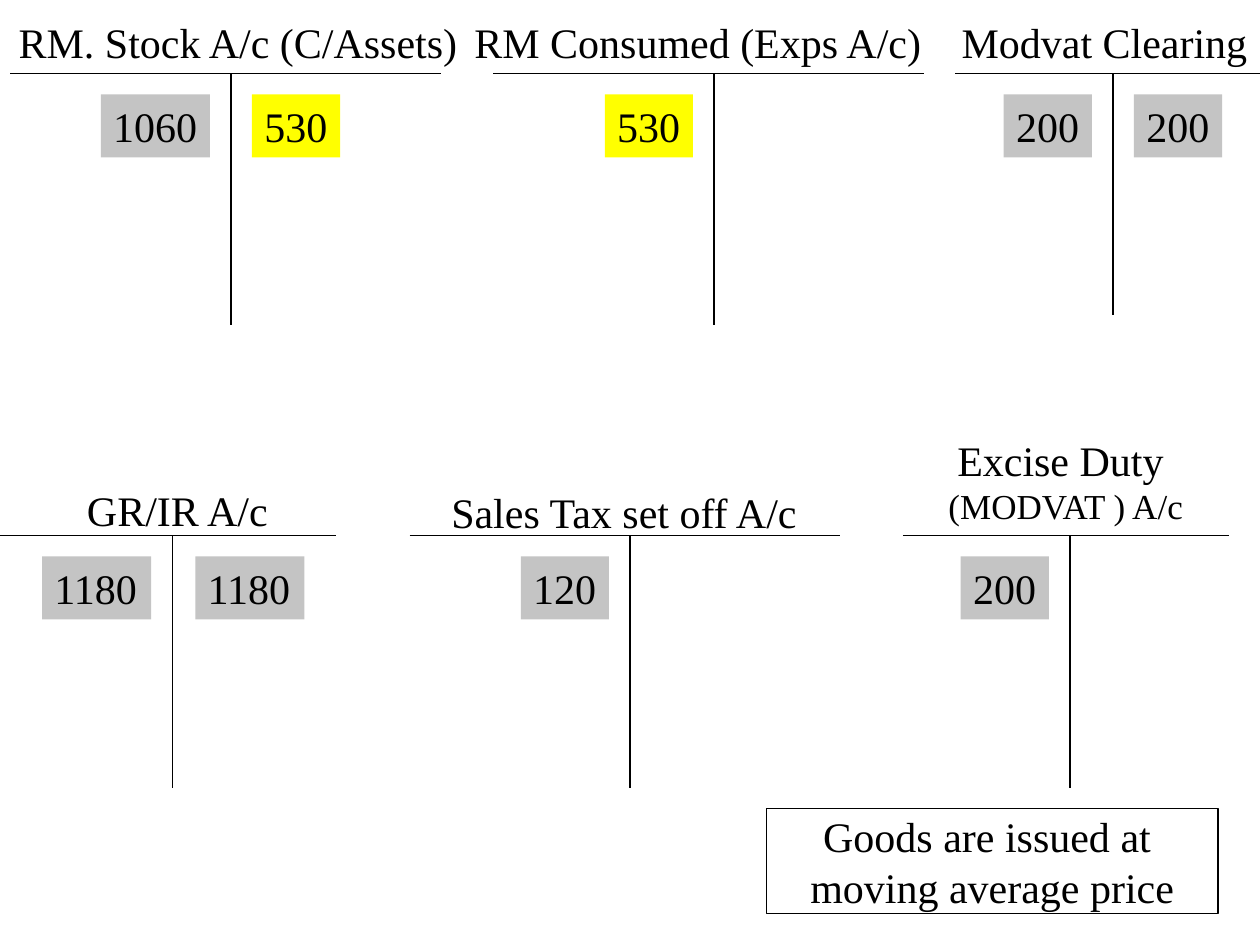
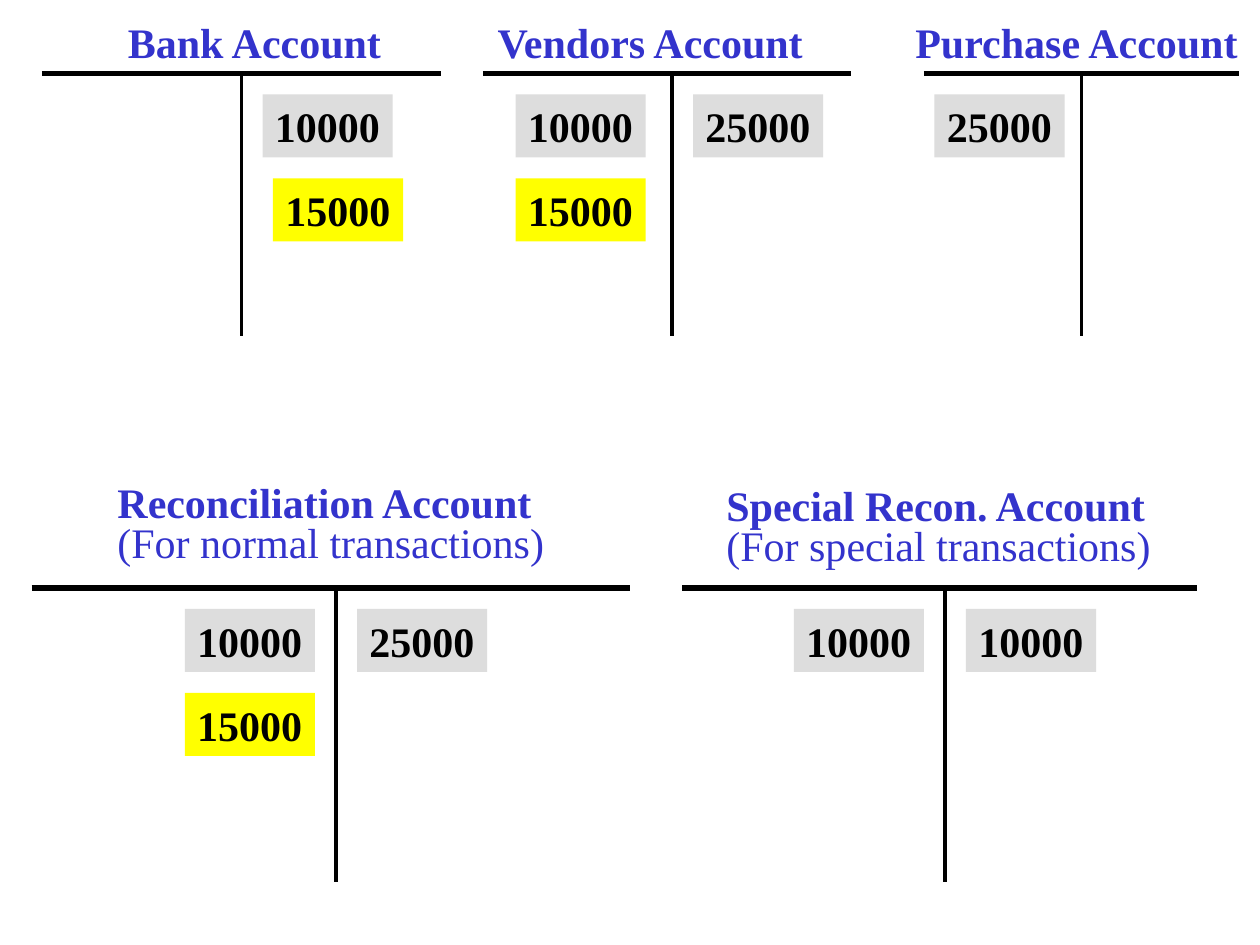
from collections import namedtuple

from lxml.etree import SubElement
from pptx import Presentation
from pptx.dml.color import RGBColor
from pptx.enum.shapes import MSO_CONNECTOR, MSO_SHAPE
from pptx.enum.text import MSO_ANCHOR, MSO_AUTO_SIZE, PP_ALIGN
from pptx.oxml.ns import qn
from pptx.util import Inches, Pt

BLACK = RGBColor(0x00, 0x00, 0x00)
WHITE = RGBColor(0xFF, 0xFF, 0xFF)
BLUE = RGBColor(0x33, 0x33, 0xCC)
GREY = RGBColor(0xC4, 0xC4, 0xC4)
PALE_GREY = RGBColor(0xDD, 0xDD, 0xDD)
YELLOW = RGBColor(0xFF, 0xFF, 0x00)

WIDTH, HEIGHT = Inches(10), Inches(7.5)
CELL = WIDTH // 120
GAP, ENTRY_ROWS, ENTRY_STEP = 2, 6, 8

BODY_FONT = {"name": "Times New Roman", "size": Pt(24), "bold": False}
BOLD_FONT = {**BODY_FONT, "bold": True}
SMALL_FONT = {**BODY_FONT, "size": Pt(20)}
MARGINS = {
    "margin_left": Inches(0.1), "margin_right": Inches(0.1),
    "margin_top": Inches(0.05), "margin_bottom": Inches(0.05),
}
LABEL_FRAME = {**MARGINS, "word_wrap": False, "auto_size": MSO_AUTO_SIZE.SHAPE_TO_FIT_TEXT}
WRAPPED_FRAME = {**LABEL_FRAME, "word_wrap": True}
NOTE_FRAME = {**MARGINS, "word_wrap": False, "vertical_anchor": MSO_ANCHOR.MIDDLE}
LEFT = {"alignment": PP_ALIGN.LEFT}
CENTRED = {"alignment": PP_ALIGN.CENTER}
TIGHT = {**LEFT, "line_spacing": 0.8}

Style = namedtuple("Style", "bar_weight stem_weight title_colour entry_font entry_fill")
Title = namedtuple("Title", "area lines frame layout", defaults=(LABEL_FRAME, LEFT))
Entry = namedtuple("Entry", "amount level issued nudge", defaults=(0, False, 0))
Account = namedtuple("Account", "title left right stem top bottom debits credits",
                     defaults=((), ()))

POSTING = Style(0.75, 0.75, BLACK, BODY_FONT, GREY)
PAYMENT = Style(3, 2.25, BLUE, BOLD_FONT, PALE_GREY)

STOCK_ACCOUNTS = [
    Account(Title((0.6, 1, 44.4, 6), [("RM. Stock A/c (C/Assets)", BODY_FONT)]),
            1, 42, 22, 7, 31, [Entry("1060")], [Entry("530", issued=True)]),
    Account(Title((44, 1, 45.1, 6), [("RM Consumed (Exps A/c)", BODY_FONT)]),
            47, 88, 68, 7, 31, [Entry("530", issued=True)]),
    Account(Title((90.4, 1, 29.6, 6), [("Modvat Clearing", BODY_FONT)]),
            91, 120, 106, 7, 30, [Entry("200")], [Entry("200")]),
    Account(Title((7.1, 45.6, 19.8, 6), [("GR/IR A/c", BODY_FONT)]),
            0, 32, 16.4, 51, 75, [Entry("1180")], [Entry("1180", nudge=0.2)]),
    Account(Title((41.8, 45.7, 35.9, 6), [("Sales Tax set off A/c", BODY_FONT)]),
            39, 80, 60, 51, 75, [Entry("120")]),
    Account(Title((86, 40.8, 31, 10.1),
                  [("Excise Duty ", BODY_FONT), ("(MODVAT ) A/c", SMALL_FONT)],
                  WRAPPED_FRAME, CENTRED),
            86, 117, 101.9, 51, 75, [Entry("200")]),
]

VENDOR_ACCOUNTS = [
    Account(Title((11, 1, 26.8, 6), [("Bank Account", BOLD_FONT)]),
            4, 42, 23, 7, 32, (),
            [Entry("10000"), Entry("15000", 1, True, 1)]),
    Account(Title((46.2, 1, 32.8, 6), [("Vendors Account", BOLD_FONT)], WRAPPED_FRAME),
            46, 81, 64, 7, 32,
            [Entry("10000", nudge=-0.5), Entry("15000", 1, True, -0.5)],
            [Entry("25000")]),
    Account(Title((86, 1, 33.4, 6), [("Purchase Account", BOLD_FONT)]),
            88, 118, 103, 7, 32, [Entry("25000", nudge=0.4)]),
    Account(Title((10, 45.7, 43.1, 8.9),
                  [("Reconciliation Account", BOLD_FONT),
                   ("(For normal transactions)", BODY_FONT)], layout=TIGHT),
            3, 60, 32, 56, 84,
            [Entry("10000"), Entry("15000", 1, True)], [Entry("25000")]),
    Account(Title((68, 46, 42.8, 8.9),
                  [("Special Recon. Account", BOLD_FONT),
                   ("(For special transactions)", BODY_FONT)], layout=TIGHT),
            65, 114, 90, 56, 84, [Entry("10000")], [Entry("10000")]),
]


def cells(*counts):
    """Turn counts of grid cells into lengths."""
    return [round(count * CELL) for count in counts]


def apply_format(target, values):
    """Set every attribute named in the values."""
    for attribute, value in values.items():
        setattr(target, attribute, value)


def write_lines(frame, lines, colour, frame_format, layout):
    """Write one paragraph for each line of text."""
    apply_format(frame, frame_format)
    for index, (text, font) in enumerate(lines):
        paragraph = frame.add_paragraph() if index else frame.paragraphs[0]
        apply_format(paragraph, layout)
        run = paragraph.add_run()
        run.text = text
        apply_format(run.font, font)
        run.font.color.rgb = colour


def add_rule(slide, start, end, weight):
    """Draw a straight black line between two grid points."""
    rule = slide.shapes.add_connector(MSO_CONNECTOR.STRAIGHT, *cells(*start, *end))
    rule.line.color.rgb = BLACK
    rule.line.width = Pt(weight)
    SubElement(rule._element.spPr, qn("a:effectLst"))


def add_title(slide, title, colour):
    """Write an account's heading."""
    heading = slide.shapes.add_textbox(*cells(*title.area))
    write_lines(heading.text_frame, title.lines, colour, title.frame, title.layout)


def add_panel(slide, area, fill, lines, frame_format, layout):
    """Add a filled rectangle with black text and return it."""
    panel = slide.shapes.add_shape(MSO_SHAPE.RECTANGLE, *cells(*area))
    panel.shadow.inherit = False
    panel.fill.solid()
    panel.fill.fore_color.rgb = fill
    panel.line.fill.background()
    write_lines(panel.text_frame, lines, BLACK, frame_format, layout)
    return panel


def add_entry(slide, entry, account, style, is_debit):
    """Place an amount beside the account's stem."""
    width = 2.4 + 2 * len(entry.amount)
    offset = -GAP - width if is_debit else GAP
    area = (account.stem + offset + entry.nudge,
            account.top + GAP + entry.level * ENTRY_STEP, width, ENTRY_ROWS)
    fill = YELLOW if entry.issued else style.entry_fill
    add_panel(slide, area, fill, [(entry.amount, style.entry_font)], LABEL_FRAME, LEFT)


def add_account(slide, account, style):
    """Draw a T-account with its heading and entries."""
    add_rule(slide, (account.left, account.top), (account.right, account.top),
             style.bar_weight)
    add_rule(slide, (account.stem, account.top), (account.stem, account.bottom),
             style.stem_weight)
    add_title(slide, account.title, style.title_colour)
    for entries, is_debit in ((account.debits, True), (account.credits, False)):
        for entry in entries:
            add_entry(slide, entry, account, style, is_debit)


def add_note(slide, area, lines):
    """Add an outlined remark."""
    note = add_panel(slide, area, WHITE, [(line, BODY_FONT) for line in lines],
                     NOTE_FRAME, CENTRED)
    note.line.color.rgb = BLACK
    note.line.width = Pt(0.75)


def add_ledger(deck, accounts, style):
    """Add a slide of T-accounts and return it."""
    slide = deck.slides.add_slide(deck.slide_layouts[6])
    for account in accounts:
        add_account(slide, account, style)
    return slide


def main():
    """Build both ledger slides."""
    deck = Presentation()
    apply_format(deck, {"slide_width": WIDTH, "slide_height": HEIGHT})
    stock_ledger = add_ledger(deck, STOCK_ACCOUNTS, POSTING)
    add_note(stock_ledger, (73, 77, 43, 10),
             ["Goods are issued at ", "moving average price"])
    add_ledger(deck, VENDOR_ACCOUNTS, PAYMENT)
    deck.save("out.pptx")


if __name__ == "__main__":
    main()
